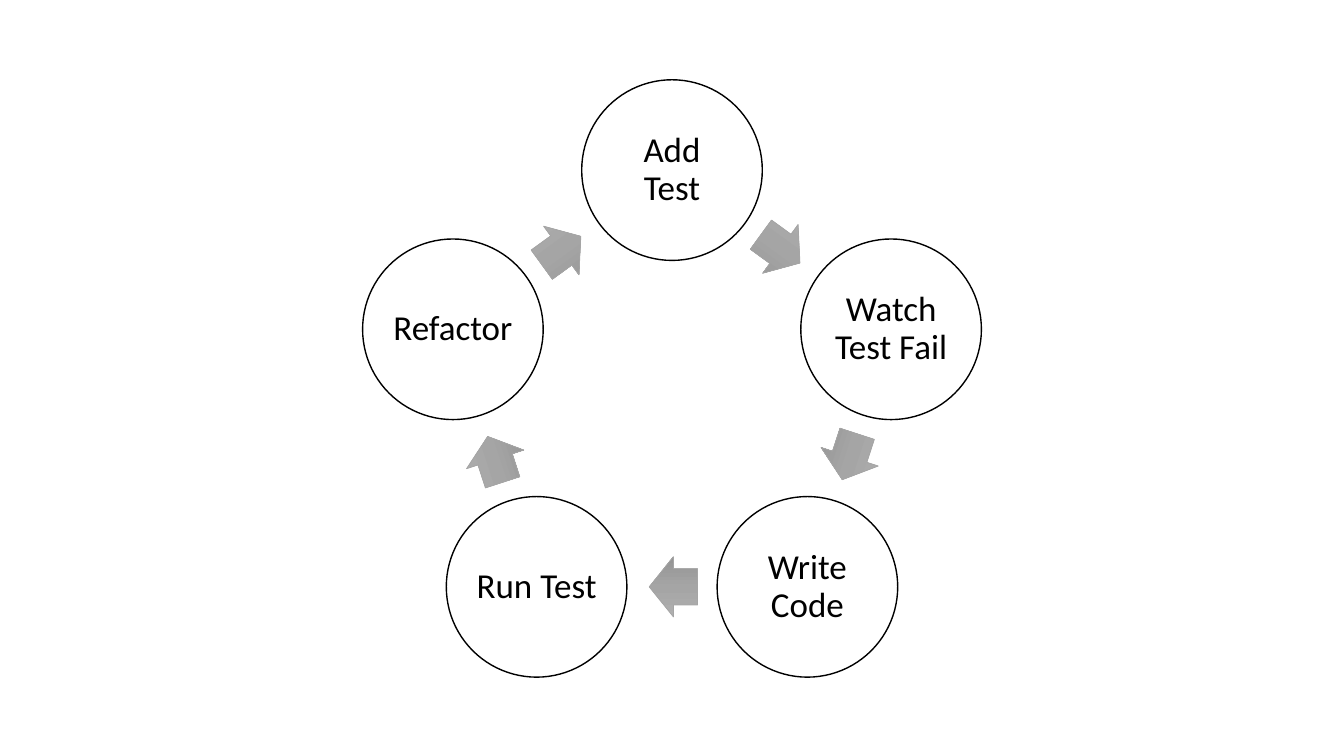
from copy import deepcopy
from math import cos, pi, radians, sin

from pptx import Presentation
from pptx.dml.color import RGBColor
from pptx.enum.shapes import MSO_SHAPE
from pptx.enum.text import MSO_ANCHOR, PP_ALIGN
from pptx.util import Pt

WHITE = RGBColor(0xFF, 0xFF, 0xFF)
BLACK = RGBColor(0x00, 0x00, 0x00)
GRAY_LIGHT = RGBColor(0xAF, 0xAF, 0xAF)
GRAY = RGBColor(0xA5, 0xA5, 0xA5)
GRAY_DARK = RGBColor(0x93, 0x93, 0x93)

STEPS = ["Add\vTest", "Watch Test Fail", "Write Code", "Run Test", "Refactor"]
DIAMETER = 129
ARROW_W, ARROW_H = 34.5, 43
ARROW_SETBACK = 1


def add_centered(s, kind, x, y, w, h):
    """Add a shadowless preset shape centred on (x, y)."""
    sp = s.shapes.add_shape(kind, Pt(x - w / 2), Pt(y - h / 2), Pt(w), Pt(h))
    sp.shadow.inherit = False
    return sp


def add_step(s, text, x, y):
    """Add one outlined circle with its label."""
    sp = add_centered(s, MSO_SHAPE.OVAL, x, y, DIAMETER, DIAMETER)
    sp.fill.solid()
    sp.fill.fore_color.rgb = WHITE
    sp.line.color.rgb = BLACK
    sp.line.width = Pt(1)
    tf = sp.text_frame
    tf.word_wrap = True
    tf.vertical_anchor = MSO_ANCHOR.MIDDLE
    tf.margin_left = tf.margin_right = tf.margin_top = tf.margin_bottom = Pt(2)
    p = tf.paragraphs[0]
    p.text = text
    p.alignment = PP_ALIGN.CENTER
    p.line_spacing = 0.9
    for r in p.runs:
        r.font.name = "Calibri"
        r.font.size = Pt(25)
        r.font.color.rgb = BLACK


def add_arrow(s, x, y, angle):
    """Add one gradient block arrow pointing along angle, in degrees."""
    sp = add_centered(s, MSO_SHAPE.RIGHT_ARROW, x, y, ARROW_W, ARROW_H)
    sp.adjustments[0] = 0.6
    sp.adjustments[1] = 0.5
    sp.rotation = angle
    sp.fill.gradient()
    sp.fill.gradient_angle = 270
    first = sp.fill._fill._gradFill.gsLst[0]
    first.addnext(deepcopy(first))
    stops = zip(sp.fill.gradient_stops, (0, 0.5, 1), (GRAY_LIGHT, GRAY, GRAY_DARK))
    for stop, position, color in stops:
        stop.position = position
        stop.color.rgb = color
    sp.line.color.rgb = GRAY
    sp.line.width = Pt(0.5)


def add_cycle(s, steps, left, top, width):
    """Place the steps clockwise on a ring, with arrows between them."""
    n = len(steps)
    turn = 2 * pi / n
    radius = (width - DIAMETER) / (2 * max(sin(i * turn) for i in range(n)))
    cx, cy = left + width / 2, top + DIAMETER / 2 + radius
    apothem = radius * cos(turn / 2)
    for i, text in enumerate(steps):
        add_step(s, text, cx + radius * sin(i * turn), cy - radius * cos(i * turn))
        mid = (i + 0.5) * turn
        angle = (i + 0.5) * 360 / n
        heading = radians(angle)
        add_arrow(s,
                  cx + apothem * sin(mid) - ARROW_SETBACK * cos(heading),
                  cy - apothem * cos(mid) - ARROW_SETBACK * sin(heading),
                  angle)


prs = Presentation()
prs.slide_width, prs.slide_height = Pt(960), Pt(540)
s = prs.slides.add_slide(prs.slide_layouts[6])
add_cycle(s, STEPS, left=259, top=57, width=442)
prs.save("out.pptx")
